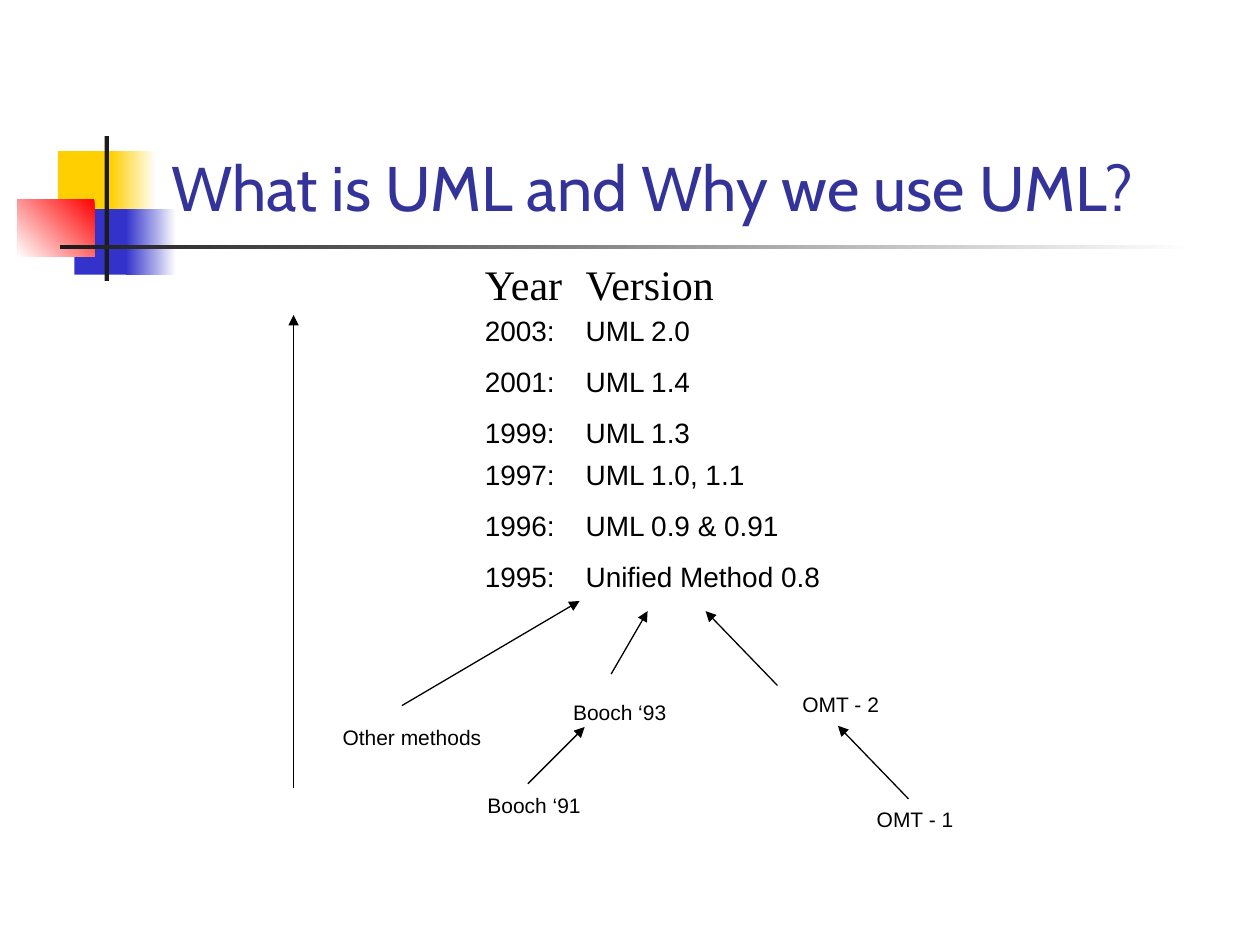
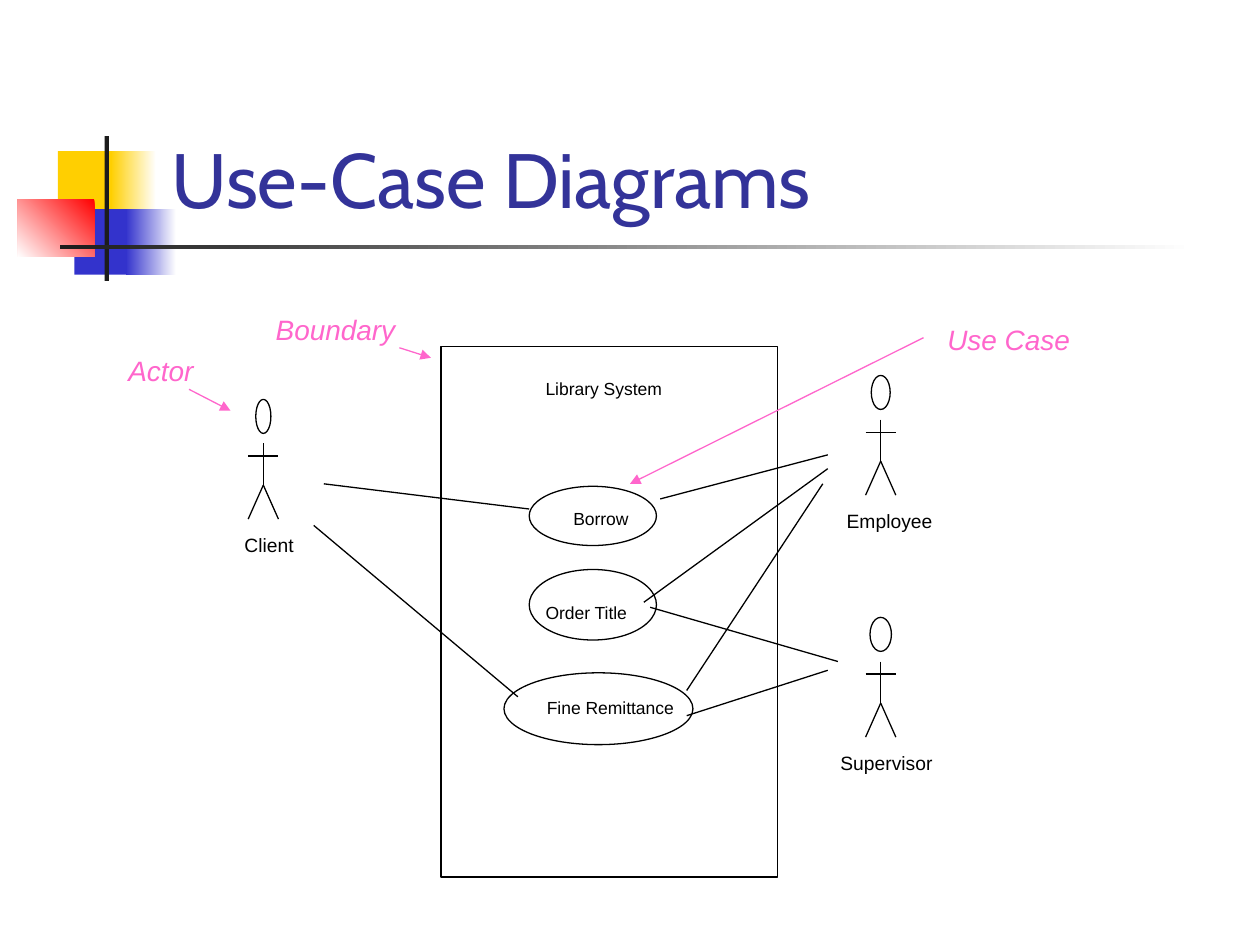
from dataclasses import dataclass
from typing import Optional

from lxml import etree
from pptx import Presentation
from pptx.dml.color import RGBColor
from pptx.enum.shapes import MSO_CONNECTOR, MSO_SHAPE
from pptx.enum.text import MSO_ANCHOR, MSO_AUTO_SIZE, PP_ALIGN
from pptx.oxml.ns import qn
from pptx.util import Inches, Pt

RECTANGLE = MSO_SHAPE.RECTANGLE
ELLIPSE = MSO_SHAPE.OVAL
STRAIGHT = MSO_CONNECTOR.STRAIGHT
BOTTOM = MSO_ANCHOR.BOTTOM
LEFT = PP_ALIGN.LEFT
FIXED = MSO_AUTO_SIZE.NONE

BLACK = RGBColor(0x00, 0x00, 0x00)
WHITE = RGBColor(0xFF, 0xFF, 0xFF)
YELLOW = RGBColor(0xFF, 0xCF, 0x01)
BLUE = RGBColor(0x33, 0x33, 0xCC)
RED = RGBColor(0xFF, 0x00, 0x00)
CHARCOAL = RGBColor(0x1C, 0x1C, 0x1C)
INDIGO = RGBColor(0x33, 0x33, 0x99)
PINK = RGBColor(0xFF, 0x66, 0xCC)

SLIDE_WIDTH, SLIDE_HEIGHT = Inches(10), Inches(7.5)
COLUMNS, ROWS = 100, 75
TITLE_LAYOUT = 5
YEAR_TAB = 8
LINE_WIDTH = Pt(0.75)


def columns(count: float) -> int:
    return round(SLIDE_WIDTH * count / COLUMNS)


def rows(count: float) -> int:
    return round(SLIDE_HEIGHT * count / ROWS)


@dataclass(frozen=True)
class Area:
    left: float
    top: float
    width: float
    height: float

    def place(self) -> tuple[int, int, int, int]:
        return (columns(self.left), rows(self.top),
                columns(self.width), rows(self.height))


@dataclass(frozen=True)
class Band:
    area: Area
    color: RGBColor
    fade_to: Optional[RGBColor] = None
    angle: int = 180


@dataclass(frozen=True)
class Style:
    size: float
    color: RGBColor = BLACK
    name: str = "Arial"
    italic: bool = False
    inset: bool = True
    space_before: float = 0


@dataclass(frozen=True)
class Label:
    text: str
    area: Area
    style: Style


@dataclass(frozen=True)
class Line:
    start: tuple[float, float]
    end: tuple[float, float]
    color: RGBColor = BLACK
    arrow: bool = False


@dataclass(frozen=True)
class Actor:
    name: str
    center: float
    top: float
    head_width: float
    name_left: float


BANDS = [
    Band(Area(4.6, 12, 4.8, 5.2), YELLOW),
    Band(Area(8.8, 12, 3.6, 5.2), WHITE, YELLOW),
    Band(Area(5.9, 16.6, 4.6, 5.2), BLUE),
    Band(Area(10, 16.6, 4, 5.2), WHITE, BLUE),
    Band(Area(1.4, 15.8, 6.1, 4.6), RED, WHITE, 225),
    Band(Area(8.3, 10.8, 0.35, 11.5), CHARCOAL),
    Band(Area(4.8, 19.45, 90, 0.35), WHITE, CHARCOAL),
]
TITLE_AREA = Area(12.6, 2.3, 85.2, 16)

HEADING = Style(24, name="Times New Roman")
VERSION = Style(16, space_before=10)
METHOD = Style(12)
CASE = Style(10, inset=False)
ACTOR_NAME = Style(11, inset=False)
CALLOUT = Style(16, PINK, italic=True)

VERSION_LABELS = [
    Label("Year\tVersion", Area(37.5, 20, 25, 5), HEADING),
    Label("2003:\tUML 2.0\n2001:\tUML 1.4\n1999:\tUML 1.3",
          Area(37.5, 24.4, 26.7, 11.8), VERSION),
    Label("1997:\tUML 1.0, 1.1\n1996:\tUML 0.9 & 0.91\n"
          "1995:\tUnified Method 0.8",
          Area(37.5, 35.8, 46, 11.8), VERSION),
    Label("Other methods", Area(26.2, 57, 13.5, 3), METHOD),
    Label("Booch ‘91", Area(37.7, 62.4, 12.5, 3), METHOD),
    Label("Booch ‘93", Area(44.5, 55, 10, 3), METHOD),
    Label("OMT - 2", Area(62.7, 54.4, 8.5, 3), METHOD),
    Label("OMT - 1", Area(68.6, 63.5, 8.5, 3), METHOD),
]
VERSION_ARROWS = [
    Line(start, end, arrow=True) for start, end in [
        ((31.9, 56), (46, 47.7)),
        ((41.9, 62.2), (46.4, 57.7)),
        ((48.5, 53.5), (51.4, 48.5)),
        ((72.1, 63.4), (66.5, 57.6)),
        ((61.7, 54.4), (56, 48.5)),
        ((23.3, 62.5), (23.3, 25)),
    ]
]

BOUNDARY = Area(35, 27.5, 26.7, 42.1)
CASE_AREAS = [
    Area(42, 38.6, 10.1, 4.7),
    Area(42, 45.2, 10.1, 5.6),
    Area(40, 53.4, 15, 5.7),
]
CASE_LABELS = [
    Label("Library System", Area(43.3, 30, 11.7, 1.7), CASE),
    Label("Borrow", Area(45.5, 40.3, 5, 1.7), CASE),
    Label("Order Title", Area(43.3, 47.8, 7, 1.7), CASE),
    Label("Fine Remittance", Area(43.4, 55.3, 11, 1.7), CASE),
    Label("Boundary", Area(20.9, 24.3, 12, 3.7), CALLOUT),
    Label("Actor", Area(9.2, 27.6, 10.8, 3.7), CALLOUT),
    Label("Use Case", Area(74.2, 25.1, 15, 3.7), CALLOUT),
]
CASE_LINES = [
    Line((25.7, 38.4), (42, 40.4)),
    Line((24.9, 41.7), (41.1, 55.3)),
    Line((65.7, 37.2), (51.1, 47.8)),
    Line((65.3, 38.4), (54.5, 54.8)),
    Line((52.4, 39.6), (65.7, 36.1)),
    Line((51.6, 48.2), (66.5, 52.5)),
    Line((54.5, 56.8), (65.7, 53.2)),
    Line((31.7, 27.6), (34.2, 28.4), PINK, True),
    Line((15, 30.9), (18.3, 32.6), PINK, True),
    Line((73.3, 26.8), (50, 38.4), PINK, True),
]
ACTORS = [
    Actor("Client", 20.9, 31.7, 1.2, 19.4),
    Actor("Employee", 69.9, 29.8, 1.5, 67.2),
    Actor("Supervisor", 69.9, 49, 1.7, 66.7),
]


def draw_band(page, band: Band):
    shape = page.shapes.add_shape(RECTANGLE, *band.area.place())
    shape.shadow.inherit = False
    shape.line.fill.background()
    if band.fade_to is None:
        shape.fill.solid()
        shape.fill.fore_color.rgb = band.color
    else:
        shape.fill.gradient()
        shape.fill.gradient_angle = band.angle
        for stop, color in zip(shape.fill.gradient_stops,
                               (band.color, band.fade_to)):
            stop.color.rgb = color
    return shape


def draw_outline(page, kind, area: Area) -> None:
    shape = page.shapes.add_shape(kind, *area.place())
    shape.shadow.inherit = False
    shape.fill.solid()
    shape.fill.fore_color.rgb = WHITE
    shape.line.color.rgb = BLACK
    shape.line.width = LINE_WIDTH


def draw_line(page, line: Line) -> None:
    (x1, y1), (x2, y2) = line.start, line.end
    connector = page.shapes.add_connector(
        STRAIGHT, columns(x1), rows(y1), columns(x2), rows(y2))
    connector.line.color.rgb = line.color
    connector.line.width = LINE_WIDTH
    if line.arrow:
        etree.SubElement(connector.line._get_or_add_ln(),
                         qn("a:tailEnd"), type="triangle")
    etree.SubElement(connector._element.spPr, qn("a:effectLst"))


def add_tab_stop(paragraph) -> None:
    tabs = etree.SubElement(paragraph._p.get_or_add_pPr(), qn("a:tabLst"))
    etree.SubElement(tabs, qn("a:tab"), pos=str(columns(YEAR_TAB)), algn="l")


def draw_label(page, label: Label) -> None:
    style = label.style
    box = page.shapes.add_textbox(*label.area.place())
    frame = box.text_frame
    frame.word_wrap = True
    if not style.inset:
        frame.margin_left = frame.margin_right = 0
        frame.margin_top = frame.margin_bottom = 0
    frame.text = label.text
    for paragraph in frame.paragraphs:
        paragraph.space_before = Pt(style.space_before)
        paragraph.font.size = Pt(style.size)
        paragraph.font.name = style.name
        paragraph.font.italic = style.italic
        paragraph.font.color.rgb = style.color
        if "\t" in label.text:
            add_tab_stop(paragraph)


def draw_actor(page, actor: Actor) -> None:
    x, top, reach = actor.center, actor.top, 1.2
    hip = (x, top + 6.8)
    arms = top + 4.5
    draw_line(page, Line((x, top + 3.5), hip))
    draw_line(page, Line((x - reach, arms), (x + reach, arms)))
    for side in (-reach, reach):
        draw_line(page, Line(hip, (x + side, top + 9.5)))
    draw_outline(page, ELLIPSE, Area(
        x - actor.head_width / 2, top, actor.head_width, 2.7))
    draw_label(page, Label(actor.name, Area(
        actor.name_left, top + 10.65, 8, 1.8), ACTOR_NAME))


def add_page(deck, title: str, size: int):
    page = deck.slides.add_slide(deck.slide_layouts[TITLE_LAYOUT])
    page.shapes.title.text = title
    paragraph = page.shapes.title.text_frame.paragraphs[0]
    paragraph.alignment = LEFT
    paragraph.font.name = "Cabin"
    paragraph.font.size = Pt(size)
    paragraph.font.color.rgb = INDIGO
    return page


def dress_layout(layout, page) -> None:
    title = layout.placeholders[0]
    title.left, title.top, title.width, title.height = TITLE_AREA.place()
    title.text_frame.vertical_anchor = BOTTOM
    title.text_frame.auto_size = FIXED
    for band in BANDS:
        layout.shapes._spTree.append(draw_band(page, band)._element)


def build_versions(page) -> None:
    for label in VERSION_LABELS:
        draw_label(page, label)
    for arrow in VERSION_ARROWS:
        draw_line(page, arrow)


def build_use_cases(page) -> None:
    draw_outline(page, RECTANGLE, BOUNDARY)
    for area in CASE_AREAS:
        draw_outline(page, ELLIPSE, area)
    for label in CASE_LABELS:
        draw_label(page, label)
    for line in CASE_LINES:
        draw_line(page, line)
    for actor in ACTORS:
        draw_actor(page, actor)


def main() -> None:
    deck = Presentation()
    deck.slide_width, deck.slide_height = SLIDE_WIDTH, SLIDE_HEIGHT
    versions = add_page(deck, "What is UML and Why we use UML?", 36)
    dress_layout(versions.slide_layout, versions)
    build_versions(versions)
    build_use_cases(add_page(deck, "Use-Case Diagrams", 44))
    deck.save("out.pptx")


if __name__ == "__main__":
    main()
